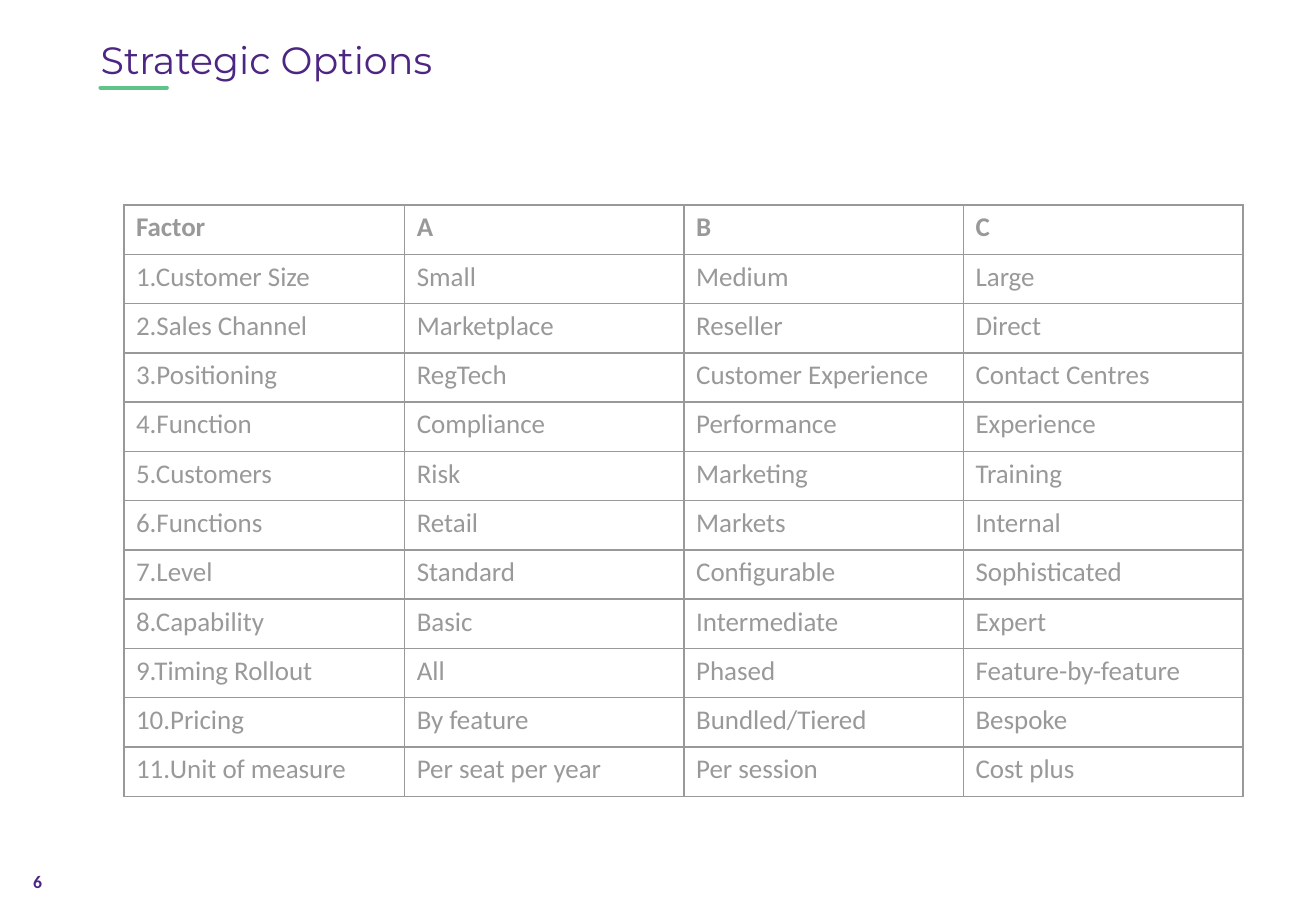
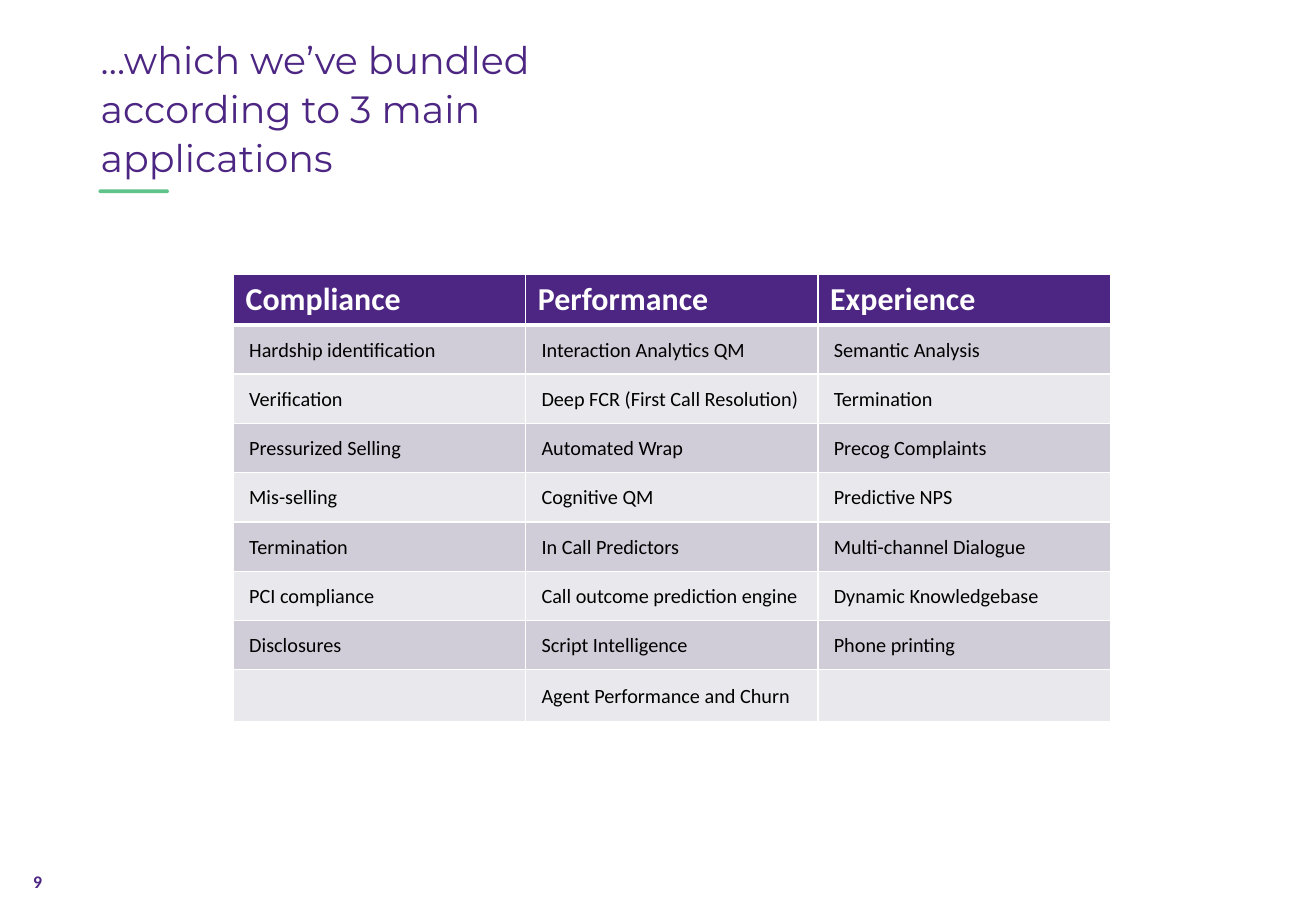
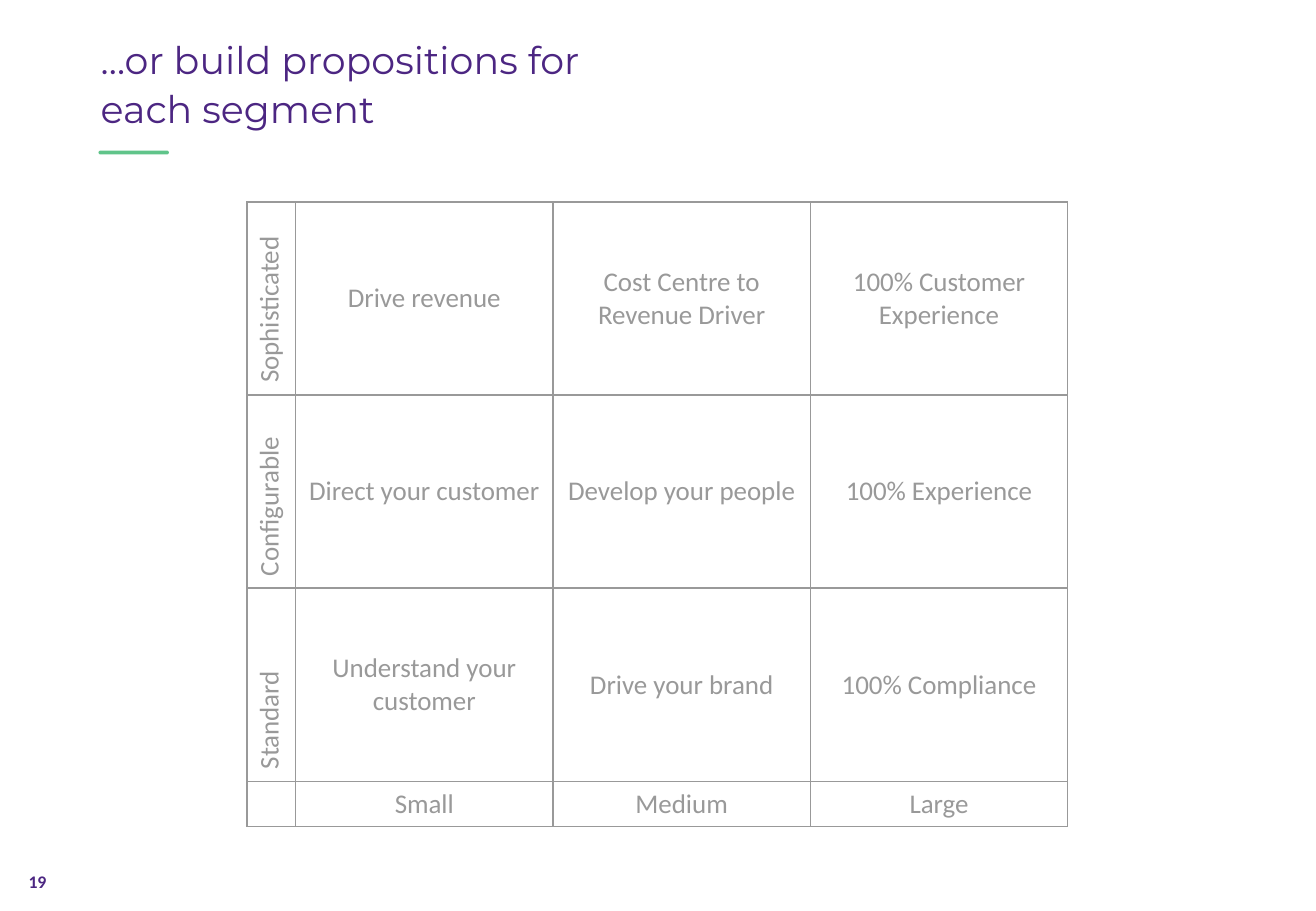
import pptx
import pptx.dml.color
import pptx.enum.shapes
import pptx.enum.text
import pptx.oxml.ns
import pptx.util
from lxml import etree

Cm = pptx.util.Cm
Pt = pptx.util.Pt
ALIGN = pptx.enum.text.PP_ALIGN
ANCHOR = pptx.enum.text.MSO_ANCHOR

COLORS = {
    "purple": "4C2682",
    "green": "60C48A",
    "grey": "999999",
    "white": "FFFFFF",
    "black": "000000",
    "band_dark": "D0CDD8",
    "band_light": "E9E8ED",
}
BODY_FONT = "Calibri"
TITLE_FONT = "Montserrat"
TITLE_ONLY = 5

OPTIONS = [
    ["Factor", "A", "B", "C"],
    ["1.Customer Size", "Small", "Medium", "Large"],
    ["2.Sales Channel", "Marketplace", "Reseller", "Direct"],
    ["3.Positioning", "RegTech", "Customer Experience", "Contact Centres"],
    ["4.Function", "Compliance", "Performance", "Experience"],
    ["5.Customers", "Risk", "Marketing", "Training"],
    ["6.Functions", "Retail", "Markets", "Internal"],
    ["7.Level", "Standard", "Configurable", "Sophisticated"],
    ["8.Capability", "Basic", "Intermediate", "Expert"],
    ["9.Timing Rollout", "All", "Phased", "Feature-by-feature"],
    ["10.Pricing", "By feature", "Bundled/Tiered", "Bespoke"],
    ["11.Unit of measure", "Per seat per year", "Per session", "Cost plus"],
]
BUNDLES = [
    ["Compliance", "Performance", "Experience"],
    ["Hardship identification", "Interaction Analytics QM", "Semantic Analysis"],
    ["Verification", "Deep FCR (First Call Resolution)", "Termination"],
    ["Pressurized Selling", "Automated Wrap", "Precog Complaints"],
    ["Mis-selling", "Cognitive QM", "Predictive NPS"],
    ["Termination", "In Call Predictors", "Multi-channel Dialogue"],
    ["PCI compliance", "Call outcome prediction engine", "Dynamic Knowledgebase"],
    ["Disclosures", "Script Intelligence", "Phone printing"],
    ["", "Agent Performance and Churn", ""],
]
SEGMENTS = [
    ["Sophisticated", "Drive revenue", "Cost Centre to Revenue Driver",
     "100% Customer Experience"],
    ["Configurable", "Direct your customer", "Develop your people",
     "100% Experience"],
    ["Standard", "Understand your customer", "Drive your brand",
     "100% Compliance"],
    ["", "Small", "Medium", "Large"],
]


def rgb(color):
    return pptx.dml.color.RGBColor.from_string(COLORS[color])


def write(frame, text, size=16, color="grey", font=BODY_FONT, bold=False,
          align=ALIGN.LEFT, spacing=None):
    paragraph = frame.paragraphs[0]
    paragraph.alignment = align
    if spacing:
        paragraph.line_spacing = Pt(spacing)
    if not text:
        # The end mark sets the line height of an empty cell.
        etree.SubElement(paragraph._p, pptx.oxml.ns.qn("a:endParaRPr"),
                         sz=str(size * 100))
        return
    run = paragraph.add_run()
    run.text = text
    run.font.size = Pt(size)
    run.font.name = font
    run.font.bold = bold
    run.font.color.rgb = rgb(color)


def add_page(deck, title, number, accent_top, title_width=11.25):
    """Add a slide with its title, green accent and page number."""
    slide = deck.slides.add_slide(deck.slide_layouts[TITLE_ONLY])
    heading = slide.shapes.title
    heading.left, heading.top = Cm(1.85), Cm(0.56)
    heading.width, heading.height = Cm(title_width), Cm(4.06)
    frame = heading.text_frame
    frame.auto_size = pptx.enum.text.MSO_AUTO_SIZE.NONE
    frame.vertical_anchor = ANCHOR.TOP
    write(frame, title, size=22.5, color="purple", font=TITLE_FONT, spacing=29)

    accent = slide.shapes.add_shape(
        pptx.enum.shapes.MSO_SHAPE.ROUNDED_RECTANGLE,
        Cm(2.06), Cm(accent_top), Cm(1.47), Cm(0.08))
    accent.adjustments[0] = 0.5
    accent.shadow.inherit = False
    accent.fill.solid()
    accent.fill.fore_color.rgb = rgb("green")
    accent.line.fill.background()

    footer = slide.shapes.add_textbox(Cm(0.38), Cm(18.11), Cm(0.81), Cm(0.64))
    frame = footer.text_frame
    frame.word_wrap = False
    frame.margin_left = frame.margin_right = Cm(0.2)
    frame.margin_top = frame.margin_bottom = Cm(0.1)
    write(frame, str(number), size=10.5, color="purple", bold=True,
          align=ALIGN.CENTER)
    return slide


def set_borders(cell, color, top=1, bottom=1):
    properties = cell._tc.get_or_add_tcPr()
    for edge, width in (("L", 1), ("R", 1), ("T", top), ("B", bottom)):
        line = etree.SubElement(properties, pptx.oxml.ns.qn(f"a:ln{edge}"),
                                w=str(Pt(width)))
        fill = etree.SubElement(line, pptx.oxml.ns.qn("a:solidFill"))
        etree.SubElement(fill, pptx.oxml.ns.qn("a:srgbClr"), val=COLORS[color])


def add_grid(slide, rows, left, top, widths, heights, style_cell):
    """Add a table; style_cell(cell, text, row, column) formats each cell."""
    table = slide.shapes.add_table(
        len(rows), len(widths), Cm(left), Cm(top),
        Cm(sum(widths)), Cm(sum(heights))).table
    table.first_row = table.horz_banding = False
    for column, width in zip(table.columns, widths):
        column.width = Cm(width)
    for row, height in zip(table.rows, heights):
        row.height = Cm(height)
    for r, texts in enumerate(rows):
        for c, text in enumerate(texts):
            style_cell(table.cell(r, c), text, r, c)


def style_option(cell, text, row, column):
    set_borders(cell, "grey")
    cell.fill.background()
    write(cell.text_frame, text, bold=row == 0)


def style_bundle(cell, text, row, column):
    header = row == 0
    set_borders(cell, "white", top=3 if row == 1 else 1,
                bottom=3 if header else 1)
    band = "band_dark" if row % 2 else "band_light"
    cell.fill.solid()
    cell.fill.fore_color.rgb = rgb("purple" if header else band)
    if header:
        write(cell.text_frame, text, size=18.9, color="white", bold=True)
        return
    cell.vertical_anchor = ANCHOR.MIDDLE
    cell.margin_left = Cm(0.33)
    cell.margin_right = cell.margin_top = Cm(0.03)
    cell.margin_bottom = 0
    write(cell.text_frame, text, size=12, color="black")


def style_segment(cell, text, row, column):
    set_borders(cell, "grey")
    cell.fill.background()
    size_row = row == len(SEGMENTS) - 1
    if not size_row:
        cell.vertical_anchor = ANCHOR.MIDDLE
        if column == 0:
            cell._tc.get_or_add_tcPr().set("vert", "vert270")
    write(cell.text_frame, text,
          align=ALIGN.CENTER if column else ALIGN.LEFT)


def main():
    deck = pptx.Presentation()
    deck.slide_width, deck.slide_height = Cm(27.51), Cm(19.05)

    options = add_page(deck, "Strategic Options", 6, 1.8, title_width=10.72)
    add_grid(options, OPTIONS, 2.59, 4.29, [5.87] + [5.84] * 3,
             [1.03] * len(OPTIONS), style_option)

    bundles = add_page(
        deck, "…which we’ve bundled according to 3 main applications", 9, 3.96)
    add_grid(bundles, BUNDLES, 4.88, 5.74, [6.11] * 3,
             [1.03] * (len(BUNDLES) - 1) + [1.09], style_bundle)

    segments = add_page(
        deck, "…or build propositions for each segment", 19, 3.15)
    add_grid(segments, SEGMENTS, 5.16, 4.22, [1.02] + [5.38] * 3,
             [4.04] * 3 + [0.94], style_segment)

    deck.save("out.pptx")


if __name__ == "__main__":
    main()
